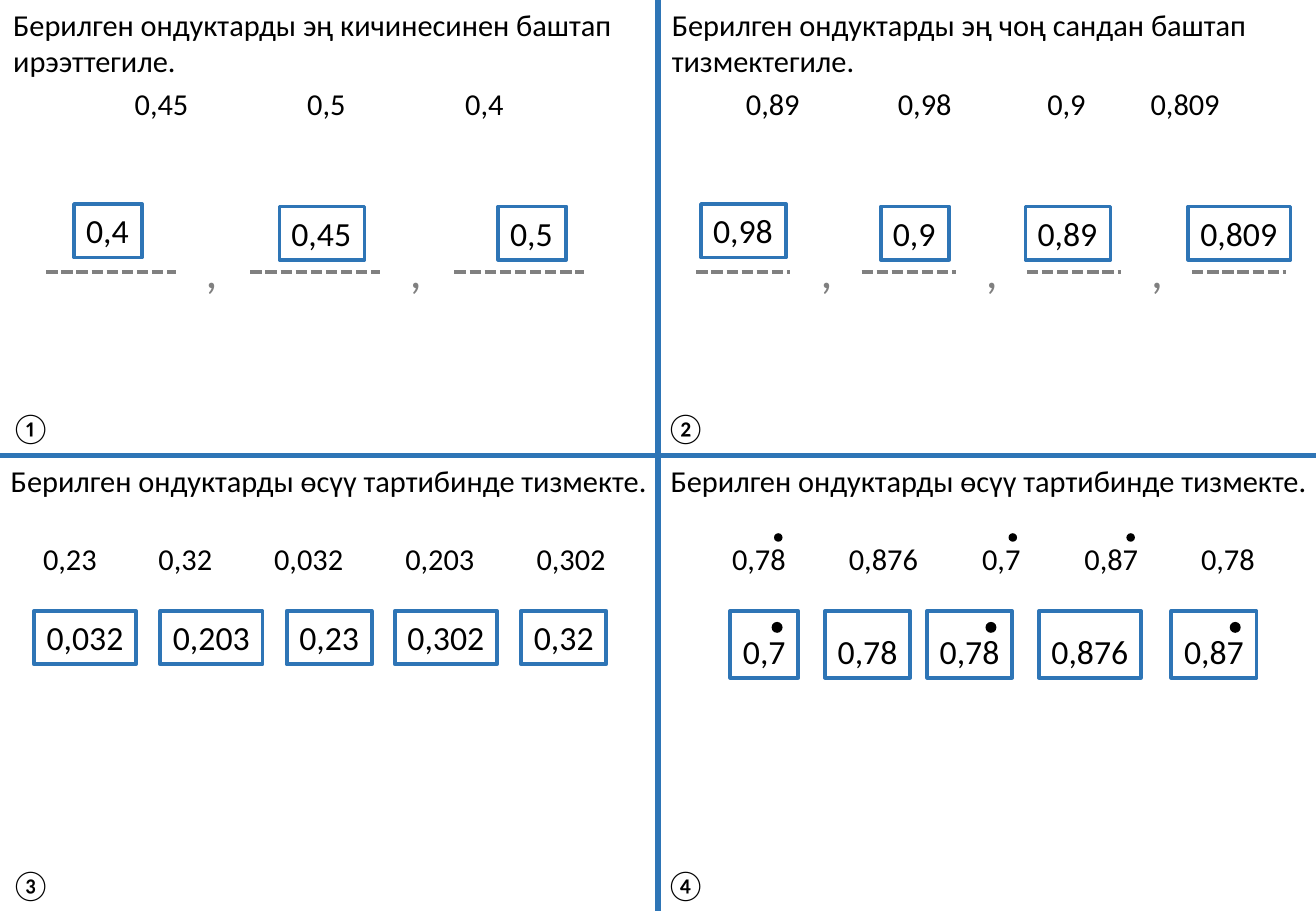
"""Build a four-panel worksheet slide on ordering decimals, with answers."""
from pptx import Presentation
from pptx.dml.color import RGBColor
from pptx.enum.dml import MSO_LINE
from pptx.enum.shapes import MSO_CONNECTOR, MSO_SHAPE
from pptx.enum.text import MSO_ANCHOR, MSO_AUTO_SIZE, PP_ALIGN
from pptx.oxml.ns import qn
from pptx.util import Inches, Pt

LEFT, CENTER, JUSTIFY = PP_ALIGN.LEFT, PP_ALIGN.CENTER, PP_ALIGN.JUSTIFY
RECTANGLE, OVAL = MSO_SHAPE.RECTANGLE, MSO_SHAPE.OVAL
STRAIGHT, DASHED = MSO_CONNECTOR.STRAIGHT, MSO_LINE.SQUARE_DOT

THEME = {
    "font": "Calibri",
    "ink": RGBColor(0, 0, 0),
    "paper": RGBColor(255, 255, 255),
    "frame": RGBColor(0x2E, 0x75, 0xB6),
    "blank": RGBColor(0x80, 0x80, 0x80),
    "body": Pt(18),
    "answer": Pt(20),
    "comma": Pt(28),
    "rule": Pt(2.25),
    "divider": Pt(3),
}
CELL = Inches(0.1)
COLUMNS, ROWS = 108.3, 75
MIDDLE_COLUMN, MIDDLE_ROW = COLUMNS / 2, ROWS / 2

PANELS = [
    {
        "title": ["Берилген ондуктарды эң кичинесинен баштап", "ирээттегиле."],
        "title_at": (0.1, 0, 52.4, 7.1),
        "number": "①", "number_at": (-0.1, 33.2),
        "given_row": 6.5, "given_align": LEFT,
        "given": [("0,45", 10.1, False), ("0,5", 24.3, False), ("0,4", 37.3, False)],
        "answer_height": 4.4, "answer_align": JUSTIFY, "answer_top": 0.5,
        "answers": [("0,4", 6.1, 16.8, False), ("0,45", 23, 17, False),
                    ("0,5", 41, 17, False)],
        "blanks": {"start": 3.8, "step": 16.8, "width": 10.65},
    },
    {
        "title": ["Берилген ондуктарды эң чоң сандан баштап", "тизмектегиле."],
        "title_at": (54.3, 0, 49.8, 7.1),
        "number": "②", "number_at": (53.8, 33.2),
        "given_row": 6.5, "given_align": LEFT,
        "given": [("0,89", 60.4, False), ("0,98", 72.9, False),
                  ("0,9", 85.2, False), ("0,809", 93.7, False)],
        "answer_height": 4.4, "answer_align": JUSTIFY, "answer_top": 0.5,
        "answers": [("0,98", 57.7, 16.8, False), ("0,9", 72.5, 17, False),
                    ("0,89", 84.4, 17, False), ("0,809", 97.8, 17, False)],
        "blanks": {"start": 57.3, "step": 13.6, "width": 7.75},
    },
    {
        "title": ["Берилген ондуктарды өсүү тартибинде тизмекте."],
        "title_at": (-0.1, 37.6, 55, 4),
        "number": "③", "number_at": (-0.1, 70.8),
        "given_row": 44, "given_align": CENTER,
        "given": [("0,23", 2.5, False), ("0,32", 12, False), ("0,032", 21.5, False),
                  ("0,203", 32.3, False), ("0,302", 43.1, False)],
        "answer_height": 4.4, "answer_align": CENTER, "answer_top": 0.5,
        "answers": [("0,032", 2.8, 50.3, False), ("0,203", 13.2, 50.3, False),
                    ("0,23", 23.6, 50.3, False), ("0,302", 32.5, 50.3, False),
                    ("0,32", 42.9, 50.3, False)],
    },
    {
        "title": ["Берилген ондуктарды өсүү тартибинде тизмекте."],
        "title_at": (54.2, 37.6, 55, 4),
        "number": "④", "number_at": (53.8, 70.8),
        "given_row": 44, "given_align": CENTER,
        "given": [("0,78", 59.2, True), ("0,876", 68.8, False), ("0,7", 79.8, True),
                  ("0,87", 88.2, True), ("0,78", 97.8, False)],
        "answer_height": 5.5, "answer_align": CENTER, "answer_top": 1.6,
        "answers": [("0,7", 60.1, 50.3, True), ("0,78", 67.9, 50.3, False),
                    ("0,78", 76.3, 50.3, True), ("0,876", 85.5, 50.3, False),
                    ("0,87", 96.4, 50.3, True)],
    },
]

deck = Presentation()
deck.slide_width, deck.slide_height = int(COLUMNS * CELL), int(ROWS * CELL)
slide = deck.slides.add_slide(deck.slide_layouts[6])


def add_label(lines, place, size, color="ink", align=LEFT, framed=False, top=0.5):
    """Place lines of text on the grid, in a frame if asked."""
    place = [int(length * CELL) for length in place]
    if framed:
        label = slide.shapes.add_shape(RECTANGLE, *place)
        label.shadow.inherit = False
        label.fill.solid()
        label.fill.fore_color.rgb = THEME["paper"]
        label.line.color.rgb = THEME["frame"]
        label.line.width = THEME["rule"]
    else:
        label = slide.shapes.add_textbox(*place)
    frame = label.text_frame
    layout = {"word_wrap": False, "auto_size": MSO_AUTO_SIZE.SHAPE_TO_FIT_TEXT,
              "vertical_anchor": MSO_ANCHOR.TOP, "margin_top": int(top * CELL)}
    for key, value in layout.items():
        setattr(frame, key, value)
    frame.text = "\n".join(lines)
    for paragraph in frame.paragraphs:
        paragraph.alignment = align
        for key, value in {"name": THEME["font"], "size": THEME[size]}.items():
            setattr(paragraph.runs[0].font, key, value)
        paragraph.runs[0].font.color.rgb = THEME[color]


def add_rule(ends, color, width):
    """Draw a straight line between two grid points."""
    rule = slide.shapes.add_connector(STRAIGHT, *[int(end * CELL) for end in ends])
    rule.line.color.rgb = THEME[color]
    rule.line.width = THEME[width]
    properties = rule._element.spPr
    properties.append(properties.makeelement(qn("a:effectLst"), {}))
    return rule


for ends in [(MIDDLE_COLUMN, 0, MIDDLE_COLUMN, ROWS), (COLUMNS, MIDDLE_ROW, 0, MIDDLE_ROW)]:
    add_rule(ends, "frame", "divider")

repeat_dots = []
for panel in PANELS:
    add_label(panel["title"], panel["title_at"], "body")
    add_label([panel["number"]], (*panel["number_at"], 5.4, 4), "body")

    for decimal, column, repeats in panel["given"]:
        width = 1.3 * (len(decimal) + 1)
        add_label([decimal], (column, panel["given_row"], width, 4), "body",
                  align=panel["given_align"])
        if repeats:
            repeat_dots.append((column + width - 2, 43.9, 0.7))

    for decimal, column, row, repeats in panel["answers"]:
        width = 1.4 * (len(decimal) + 1)
        add_label([decimal], (column, row, width, panel["answer_height"]), "answer",
                  align=panel["answer_align"], framed=True, top=panel["answer_top"])
        if repeats:
            repeat_dots.append((column + width - 2.2, 51.2, 0.9))

    if "blanks" in panel:
        blanks = panel["blanks"]
        for index in range(len(panel["answers"])):
            start = blanks["start"] + index * blanks["step"]
            end = start + blanks["width"]
            add_rule((start, 22.4, end, 22.4), "blank", "rule").line.dash_style = DASHED
            if index < len(panel["answers"]) - 1:
                add_label([","], (end + 1.5, 19.4, 3, 5.7), "comma", "blank")

for column, row, diameter in repeat_dots:
    place = [int(length * CELL) for length in (column, row, diameter, diameter)]
    dot = slide.shapes.add_shape(OVAL, *place)
    dot.shadow.inherit = False
    dot.fill.solid()
    dot.fill.fore_color.rgb = THEME["ink"]
    dot.line.fill.background()

deck.save("out.pptx")
